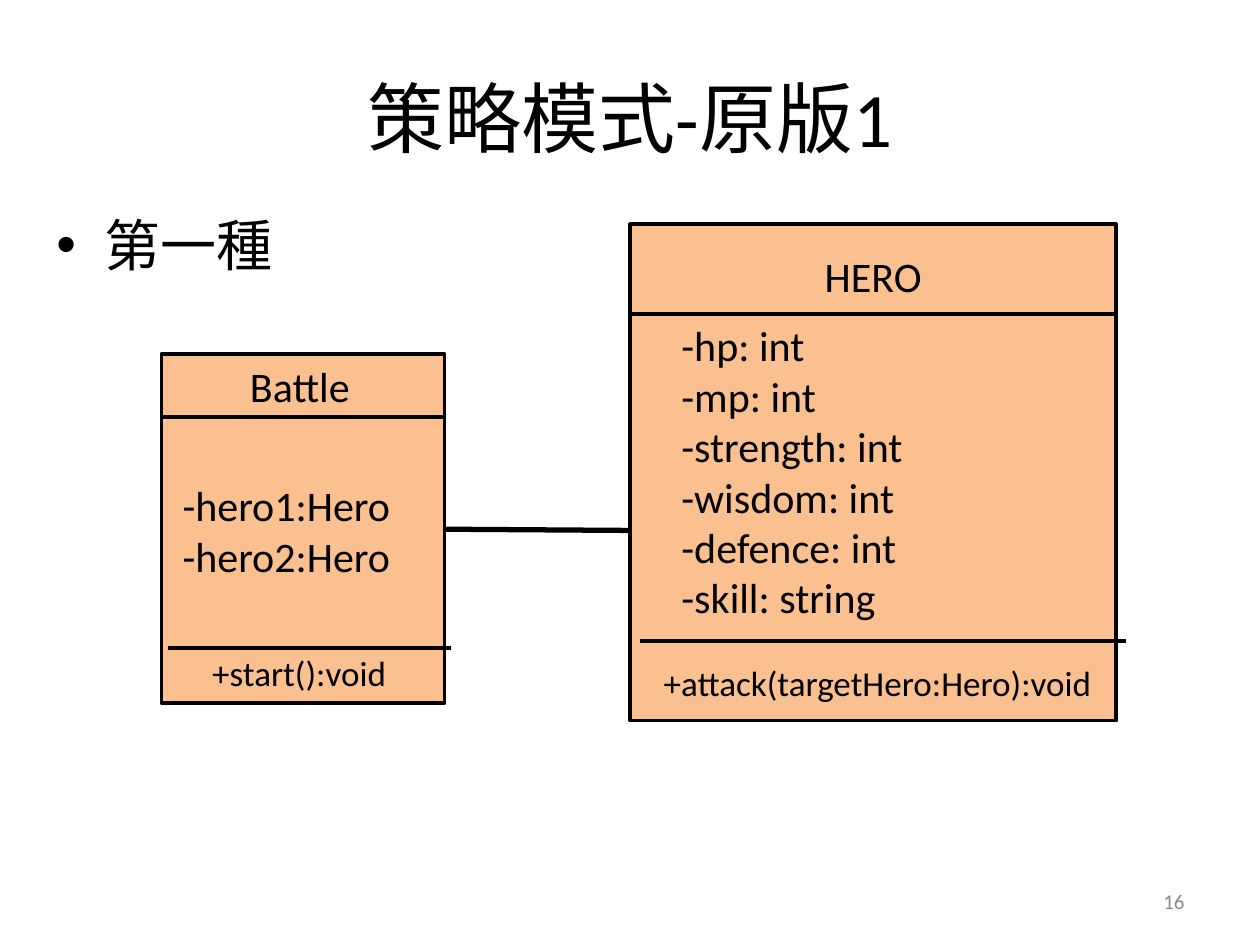
import pptx
import pptx.dml.color
import pptx.enum.shapes
import pptx.enum.text
import pptx.oxml.ns
import pptx.util
from lxml import etree
from pptx.util import Inches

COLORS = {"ink": "000000", "box": "FAC090", "number": "8C8C8C"}
ALIGN = pptx.enum.text.PP_ALIGN
ANCHOR = pptx.enum.text.MSO_ANCHOR


def rgb(name):
    return pptx.dml.color.RGBColor.from_string(COLORS[name])


def write_text(frame, text, size, color="ink", align=ALIGN.LEFT,
               anchor=ANCHOR.TOP, bullet=None, indent=0.38):
    """Fill a frame with one paragraph per line of text."""
    frame.word_wrap = True
    frame.vertical_anchor = anchor
    for index, line in enumerate(text.split("\n")):
        paragraph = frame.add_paragraph() if index else frame.paragraphs[0]
        paragraph.alignment = align
        run = paragraph.add_run()
        run.text = line
        run.font.name = "Calibri"
        run.font.size = pptx.util.Pt(size)
        run.font.color.rgb = rgb(color)
        if bullet:
            paragraph.space_before = pptx.util.Pt(size * 0.2)
            properties = paragraph._p.get_or_add_pPr()
            properties.set("marL", str(Inches(indent)))
            properties.set("indent", str(-Inches(indent)))
            font = etree.SubElement(properties, pptx.oxml.ns.qn("a:buFont"))
            font.set("typeface", "Arial")
            mark = etree.SubElement(properties, pptx.oxml.ns.qn("a:buChar"))
            mark.set("char", bullet)


class DiagramSlide:
    """Draws UML elements in one style on the current slide."""

    def __init__(self, slide):
        self.slide = slide

    def text(self, text, left, top, width, height, size, parent=None, **style):
        shapes = (parent or self.slide).shapes
        label = shapes.add_textbox(Inches(left), Inches(top),
                                   Inches(width), Inches(height))
        write_text(label.text_frame, text, size, **style)

    def line(self, x1, y1, x2, y2, weight=2.25, parent=None):
        shapes = (parent or self.slide).shapes
        line = shapes.add_connector(
            pptx.enum.shapes.MSO_CONNECTOR.STRAIGHT,
            Inches(x1), Inches(y1), Inches(x2), Inches(y2))
        line.line.color.rgb = rgb("ink")
        line.line.width = pptx.util.Pt(weight)
        etree.SubElement(line._element.spPr, pptx.oxml.ns.qn("a:effectLst"))

    def class_box(self, left, top, width, height, dividers, labels):
        """Group a box with dividers (x offset, y) and labels (text arguments, style)."""
        group = self.slide.shapes.add_group_shape()
        box = group.shapes.add_shape(
            pptx.enum.shapes.MSO_SHAPE.RECTANGLE,
            Inches(left), Inches(top), Inches(width), Inches(height))
        box.shadow.inherit = False
        box.fill.solid()
        box.fill.fore_color.rgb = rgb("box")
        box.line.color.rgb = rgb("ink")
        box.line.width = pptx.util.Pt(2)
        for offset, y in dividers:
            start = left + offset
            self.line(start, y, start + width, y, parent=group)
        for arguments, style in labels:
            self.text(*arguments, parent=group, **style)


def main():
    deck = pptx.Presentation()
    deck.slide_width, deck.slide_height = Inches(10), Inches(7.5)
    page = DiagramSlide(deck.slides.add_slide(deck.slide_layouts[6]))
    centered = {"align": ALIGN.CENTER}

    page.text("第一種", 0.35, 1.62, 4.03, 0.98, 32, bullet="•")
    page.text("16", 7.17, 6.95, 2.33, 0.4, 12, color="number",
              align=ALIGN.RIGHT, anchor=ANCHOR.MIDDLE)
    page.text("策略模式-原版1", 0.5, 0.3, 9, 1.25, 44,
              anchor=ANCHOR.MIDDLE, **centered)

    hero_fields = "\n".join(["-hp: int", "-mp: int", "-strength: int",
                             "-wisdom: int", "-defence: int", "-skill: string"])
    page.class_box(5, 1.78, 3.86, 3.94, [(0, 2.49), (0.08, 5.09)], [
        (("HERO", 6.18, 1.94, 1.5, 0.5, 24), centered),
        ((hero_fields, 5.31, 2.49, 2.76, 2.52, 24), {}),
        (("+attack(targetHero:Hero):void", 4.76, 5.2, 4.41, 0.44, 20), centered),
    ])
    page.class_box(1.28, 2.81, 2.25, 2.77, [(0, 3.31), (0.05, 5.14)], [
        (("Battle", 1.73, 2.81, 1.3, 0.5, 24), centered),
        (("-hero1:Hero\n-hero2:Hero", 1.35, 3.76, 2.11, 0.91, 24), {}),
        (("+start():void", 1.09, 5.12, 2.57, 0.44, 20), centered),
    ])
    page.line(3.53, 4.2, 5, 4.21, weight=3)
    deck.save("out.pptx")


if __name__ == "__main__":
    main()
